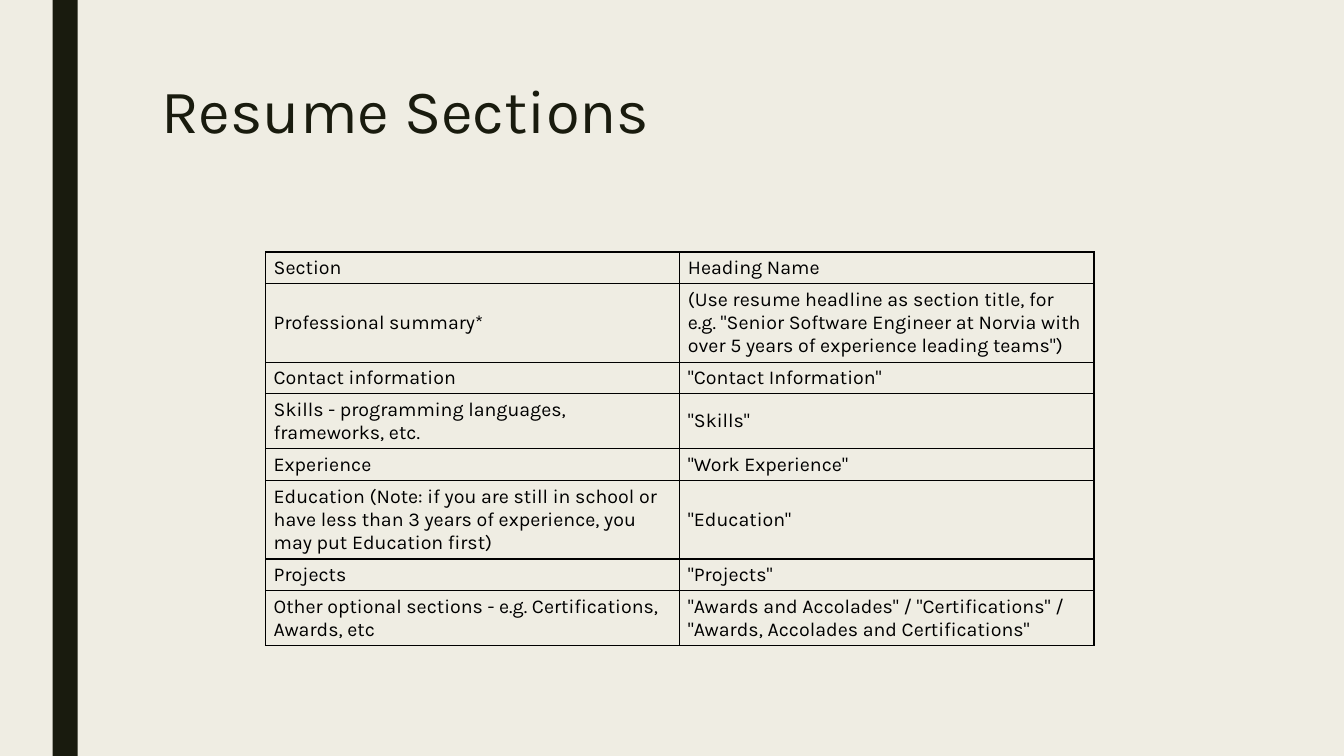
from lxml import etree
from pptx import Presentation
from pptx.dml.color import RGBColor
from pptx.enum.shapes import MSO_SHAPE
from pptx.enum.text import MSO_ANCHOR, MSO_AUTO_SIZE, PP_ALIGN
from pptx.oxml.ns import qn
from pptx.util import Inches, Pt

RECT = MSO_SHAPE.RECTANGLE
TOP, MIDDLE = MSO_ANCHOR.TOP, MSO_ANCHOR.MIDDLE
LEFT = PP_ALIGN.LEFT
NO_AUTOSIZE = MSO_AUTO_SIZE.NONE
FONT = "Karla"
COLORS = {"paper": "EFEDE3", "ink": "191B0E", "black": "000000"}

prs = Presentation()
prs.slide_width, prs.slide_height = Inches(13.33), Inches(7.5)
COL, ROW = prs.slide_width / 128, prs.slide_height / 24


def place(x, y, w, h):
    return int(x * COL), int(y * ROW), int(w * COL), int(h * ROW)


def style(p, size, color):
    p.alignment = LEFT
    p.font.name = FONT
    p.font.size = Pt(size)
    p.font.color.rgb = RGBColor.from_string(COLORS[color])


s = prs.slides.add_slide(prs.slide_layouts[5])
s.background.fill.solid()
s.background.fill.fore_color.rgb = RGBColor.from_string(COLORS["paper"])

bar = s.shapes.add_shape(RECT, *place(5, 0, 2.4, 24))
bar.shadow.inherit = False
bar.fill.solid()
bar.fill.fore_color.rgb = RGBColor.from_string(COLORS["ink"])
bar.line.fill.background()

title = s.shapes.title
title.left, title.top, title.width, title.height = place(14.4, 2.4, 100.8, 5.2)
tf = title.text_frame
tf.text = "Resume Sections"
tf.word_wrap = True
tf.auto_size = NO_AUTOSIZE
tf.vertical_anchor = TOP
p = tf.paragraphs[0]
p.line_spacing = 0.89
style(p, 44, "ink")

sections = [
    (1, "Section", "Heading Name"),
    (3, "Professional summary*",
     '(Use resume headline as section title, for e.g. "Senior Software Engineer '
     'at Norvia with over 5 years of experience leading teams")'),
    (1, "Contact information", '"Contact Information"'),
    (2, "Skills - programming languages, frameworks, etc.", '"Skills"'),
    (1, "Experience", '"Work Experience"'),
    (3, "Education (Note: if you are still in school or have less than 3 years "
     "of experience, you may put Education first)", '"Education"'),
    (1, "Projects", '"Projects"'),
    (2, "Other optional sections - e.g. Certifications, Awards, etc",
     '"Awards and Accolades" / "Certifications" / "Awards, Accolades and Certifications"'),
]
heights = [0.25 + 0.75 * lines for lines, *_ in sections]
table = s.shapes.add_table(
    len(sections), 2, *place(25.3, 8, 78.9, sum(heights))).table
table.first_row = table.horz_banding = False

for row, height, (_, *texts) in zip(table.rows, heights, sections):
    row.height = int(height * ROW)
    for cell, text in zip(row.cells, texts):
        cell.text = text
        cell.vertical_anchor = MIDDLE
        cell.margin_left = cell.margin_right = Inches(0.08)
        cell.margin_top = cell.margin_bottom = Inches(0.04)
        style(cell.text_frame.paragraphs[0], 14, "black")
        tcPr = cell._tc.get_or_add_tcPr()
        for side in ("lnL", "lnR", "lnT", "lnB"):
            ln = etree.SubElement(tcPr, qn(f"a:{side}"), w=str(Pt(1)))
            fill = etree.SubElement(ln, qn("a:solidFill"))
            etree.SubElement(fill, qn("a:srgbClr"), val=COLORS["black"])
        cell.fill.background()

prs.save("out.pptx")
